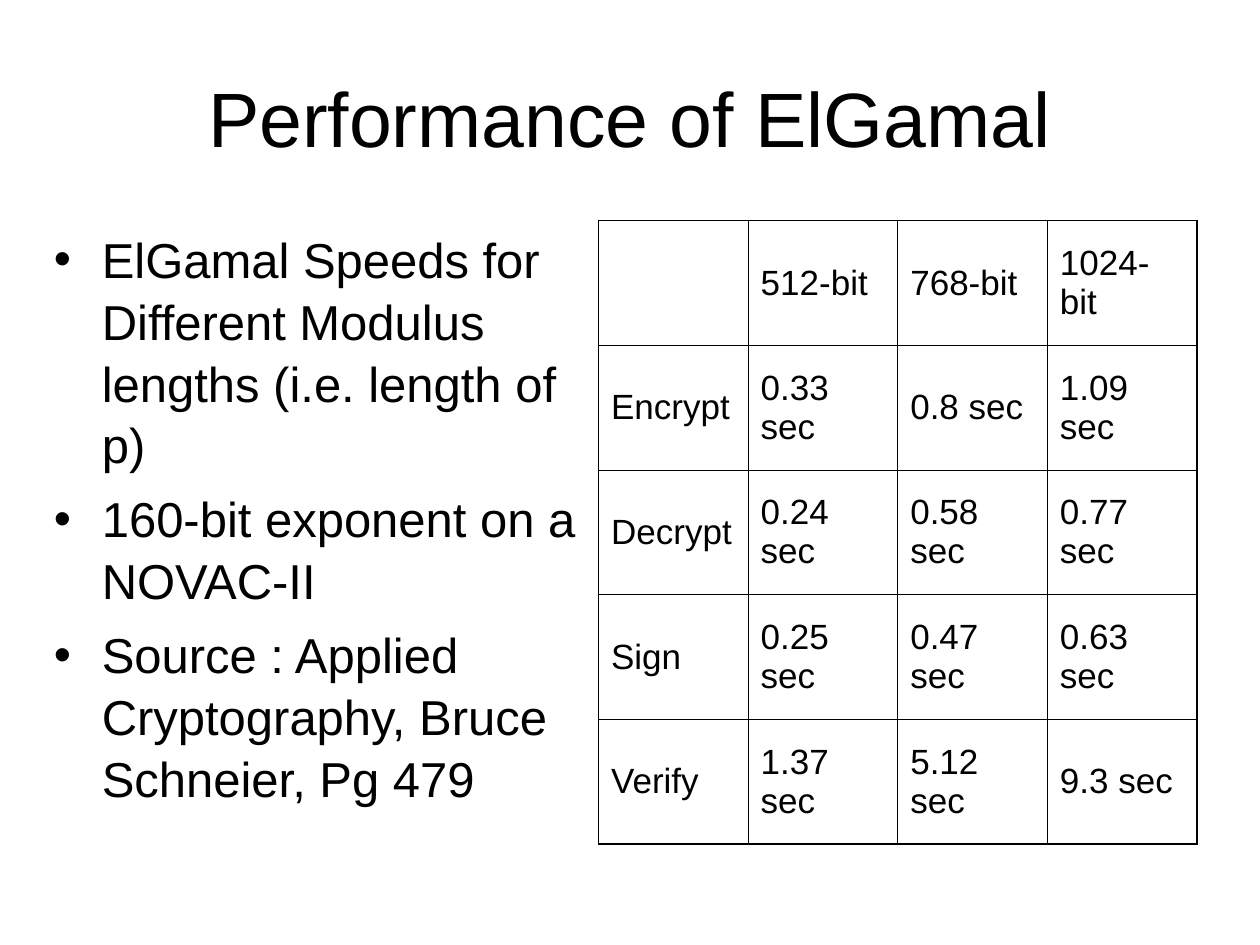
from lxml.etree import SubElement
from pptx import Presentation
from pptx.dml.color import RGBColor
from pptx.enum.text import MSO_ANCHOR as Anchor, PP_ALIGN as Align
from pptx.oxml.ns import qn
from pptx.util import Inches, Pt

COLORS = {"ink": "000000", "paper": "FFFFFF"}

BULLETS = [
    "ElGamal Speeds for Different Modulus lengths (i.e. length of p)",
    "160-bit exponent on a NOVAC-II",
    "Source : Applied Cryptography, Bruce Schneier, Pg 479",
]

SPEEDS = [
    ["", "512-bit", "768-bit", "1024-bit"],
    ["Encrypt", "0.33 sec", "0.8 sec", "1.09 sec"],
    ["Decrypt", "0.24 sec", "0.58 sec", "0.77 sec"],
    ["Sign", "0.25 sec", "0.47 sec", "0.63 sec"],
    ["Verify", "1.37 sec", "5.12 sec", "9.3 sec"],
]


def write(para, text, *, size, font, color, align=Align.LEFT, before=0, spacing=None):
    """Put one formatted span of text into a paragraph."""
    para.alignment = align
    para.space_before = Pt(before)
    if spacing:
        para.line_spacing = spacing
    span = para.add_run()
    span.text = text
    span.font.size = Pt(size)
    span.font.name = font
    span.font.color.rgb = RGBColor.from_string(color)


class SlideBuilder:
    def __init__(self, slide, font="Arial", thin=0.45, thick=1.08):
        self.slide = slide
        self.style = {"font": font, "color": COLORS["ink"]}
        self.thin, self.thick = thin, thick
        background = slide.background.fill
        background.solid()
        background.fore_color.rgb = RGBColor.from_string(COLORS["paper"])

    def frame(self, left, top, width, height, anchor):
        box = self.slide.shapes.add_textbox(
            Inches(left), Inches(top), Inches(width), Inches(height))
        box.text_frame.word_wrap = True
        box.text_frame.vertical_anchor = anchor
        return box.text_frame

    def title(self, text, *place):
        frame = self.frame(*place, Anchor.MIDDLE)
        write(frame.paragraphs[0], text, size=44, align=Align.CENTER, **self.style)

    def bullets(self, items, *place, indent=0.38):
        frame = self.frame(*place, Anchor.TOP)
        for index, item in enumerate(items):
            para = frame.add_paragraph() if index else frame.paragraphs[0]
            props = para._p.get_or_add_pPr()
            props.set("marL", str(Inches(indent)))
            props.set("indent", str(-Inches(indent)))
            SubElement(props, qn("a:buFont"), typeface=self.style["font"])
            SubElement(props, qn("a:buChar"), char="•")
            write(para, item, size=28, before=7 if index else 0,
                  spacing=1.05, **self.style)

    def border(self, cell, side, width):
        line = SubElement(cell._tc.get_or_add_tcPr(), qn(f"a:ln{side}"),
                          w=str(Pt(width)))
        fill = SubElement(line, qn("a:solidFill"))
        SubElement(fill, qn("a:srgbClr"), val=self.style["color"])

    def table(self, rows, left, top, width, height):
        row_count, column_count = len(rows), len(rows[0])
        table = self.slide.shapes.add_table(
            row_count, column_count, Inches(left), Inches(top),
            Inches(width), Inches(height)).table
        table.first_row = table.horz_banding = False
        for r, row in enumerate(rows):
            for c, text in enumerate(row):
                cell = table.cell(r, c)
                cell.vertical_anchor = Anchor.MIDDLE
                # Thick lines run around the outside only
                outer = {"L": c == 0, "R": c == column_count - 1,
                         "T": r == 0, "B": r == row_count - 1}
                for side, is_outer in outer.items():
                    self.border(cell, side, self.thick if is_outer else self.thin)
                cell.fill.background()
                if text:
                    write(cell.text_frame.paragraphs[0], text, size=20, **self.style)


def main():
    deck = Presentation()
    deck.slide_width, deck.slide_height = Inches(10), Inches(7.5)
    page = SlideBuilder(deck.slides.add_slide(deck.slide_layouts[6]))

    # Heading
    page.title("Performance of ElGamal", 0.5, 0.3, 9, 1.25)
    # Notes on the left, timings on the right
    page.bullets(BULLETS, 0.33, 1.75, 4.42, 4.95)
    page.table(SPEEDS, 4.75, 1.75, 4.75, 4.95)

    deck.save("out.pptx")


if __name__ == "__main__":
    main()
